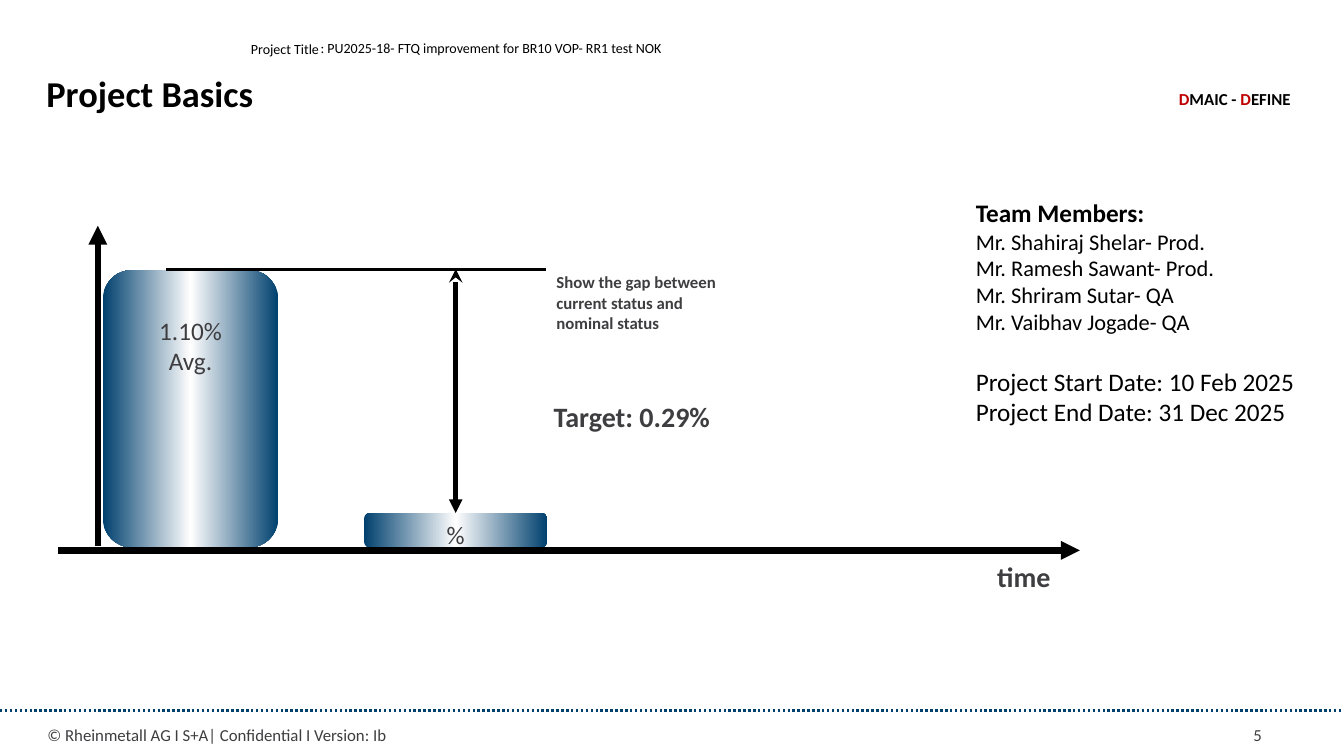
import copy

import pptx
import pptx.chart.data
import pptx.dml.color
import pptx.enum.dml
import pptx.enum.shapes
import pptx.enum.text
import pptx.oxml
import pptx.oxml.ns
import pptx.util

RGBColor = pptx.dml.color.RGBColor
Inches = pptx.util.Inches
ALIGN = pptx.enum.text.PP_ALIGN
ANCHOR = pptx.enum.text.MSO_ANCHOR

BLACK = RGBColor(0x00, 0x00, 0x00)
WHITE = RGBColor(0xFF, 0xFF, 0xFF)
GREY = RGBColor(0x3E, 0x3D, 0x40)
NAVY = RGBColor(0x00, 0x40, 0x6E)
RED = RGBColor(0xC0, 0x00, 0x00)
FONT = "Calibri"

# Content
TITLE = "Project Basics"
PROJECT_LABEL = "Project Title"
PROJECT_NAME = ": PU2025-18- FTQ improvement for BR10 VOP- RR1 test NOK"
PHASE = [("D", RED), ("MAIC - ", BLACK), ("D", RED), ("EFINE", BLACK)]
CURRENT_STATUS = ["1.10%", "Avg."]
NOMINAL_STATUS = ["%"]
GAP_NOTE = ["Show the gap between", "current status and", "nominal status"]
TARGET = "Target: 0.29%"
TIME_AXIS = "time"
TEAM_HEADING = "Team Members:"
TEAM = ["Mr. Shahiraj Shelar- Prod.", "Mr. Ramesh Sawant- Prod.",
        "Mr. Shriram Sutar- QA", "Mr. Vaibhav Jogade- QA"]
DATES = ["Project Start Date: 10 Feb 2025", "Project End Date: 31 Dec 2025"]
FOOTER = "© Rheinmetall AG I S+A| Confidential I Version: Ib"
PAGE = "5"

# Geometry in inches
WIDTH, HEIGHT = 13.33, 7.5
FOOTER_RULE = 0.94 * HEIGHT
AXIS_X, AXIS_Y = 0.97, 5.46
BAR_BASE = AXIS_Y - 0.03
CURRENT_X, CURRENT_W, CURRENT_H = 1.02, 1.74, 2.75
NOMINAL_X, NOMINAL_W, NOMINAL_H = 3.61, 1.82, 0.34
GAP_X = NOMINAL_X + NOMINAL_W / 2
GAP_TOP = 2.67

prs = pptx.Presentation()
prs.slide_width, prs.slide_height = Inches(WIDTH), Inches(HEIGHT)
slide = prs.slides.add_slide(prs.slide_layouts[5])


def format_font(font, size, color, bold=False):
    font.name = FONT
    font.size = pptx.util.Pt(size)
    font.bold = bold
    font.color.rgb = color


def write(frame, lines, size, color, bold=False, align=ALIGN.LEFT,
          inset=True, wrap=True, anchor=ANCHOR.TOP):
    frame.text = "\n".join(lines)
    frame.word_wrap = wrap
    frame.auto_size = pptx.enum.text.MSO_AUTO_SIZE.NONE
    frame.vertical_anchor = anchor
    frame.margin_left = frame.margin_right = Inches(0.1 if inset else 0)
    frame.margin_top = frame.margin_bottom = Inches(0.05 if inset else 0)
    for paragraph in frame.paragraphs:
        paragraph.alignment = align
        for run in paragraph.runs:
            format_font(run.font, size, color, bold)
    return frame


def add_text(box, lines, size, color, **style):
    shape = slide.shapes.add_textbox(*map(Inches, box))
    return write(shape.text_frame, lines, size, color, **style)


def add_line(start, end, color, width, **arrowheads):
    line = slide.shapes.add_connector(
        pptx.enum.shapes.MSO_CONNECTOR.STRAIGHT, *map(Inches, start + end))
    line.line.color.rgb = color
    line.line.width = pptx.util.Pt(width)
    for end_tag, kind in arrowheads.items():
        pptx.oxml.ns  # head must precede tail in the call
        head = pptx.oxml.parse_xml(
            f'<a:{end_tag} {pptx.oxml.ns.nsdecls("a")} type="{kind}"/>')
        line.line._get_or_add_ln().append(head)
    line._element.spPr.append(pptx.oxml.parse_xml(
        f'<a:effectLst {pptx.oxml.ns.nsdecls("a")}/>'))
    return line


def add_bar(left, width, height, lines):
    bar = slide.shapes.add_shape(
        pptx.enum.shapes.MSO_SHAPE.FLOWCHART_ALTERNATE_PROCESS,
        *map(Inches, (left, BAR_BASE - height, width, height)))
    bar.shadow.inherit = False
    bar.line.fill.background()
    bar.fill.gradient()
    bar.fill.gradient_angle = 0
    stop_list = bar._element.spPr.find(".//" + pptx.oxml.ns.qn("a:gsLst"))
    stop_list.append(copy.deepcopy(stop_list[0]))
    shades = [(0, NAVY), (0.5, WHITE), (1, NAVY)]
    for stop, (position, color) in zip(bar.fill.gradient_stops, shades):
        stop.position = position
        stop.color.rgb = color
    write(bar.text_frame, lines, 18, GREY, align=ALIGN.CENTER)
    return bar


# Header
title = slide.shapes.title
title.left, title.top, title.width, title.height = map(
    Inches, (0.36, 0.66, 3.03, 0.54))
write(title.text_frame, [TITLE], 26, BLACK, bold=True)
add_text((2.39, 0.35, 0.95, 0.27), [PROJECT_LABEL], 10, BLACK)
add_text((3.18, 0.39, 3.87, 0.17), [PROJECT_NAME], 10, BLACK, inset=False)
phase = add_text((11.44, 0.83, 1.46, 0.3), [""], 12, BLACK, align=ALIGN.RIGHT)
for letters, color in PHASE:
    run = phase.paragraphs[0].add_run()
    run.text = letters
    format_font(run.font, 12, color, bold=True)

# Status bars between the axes
add_line((0.58, AXIS_Y), (10.71, AXIS_Y), BLACK, 4.5, tailEnd="triangle")
add_text((9.89, 5.55, 0.81, 0.34), [TIME_AXIS], 20, GREY, bold=True, inset=False)
current = add_bar(CURRENT_X, CURRENT_W, CURRENT_H, CURRENT_STATUS)
current.text_frame.margin_top = Inches(0.36)
nominal = add_bar(NOMINAL_X, NOMINAL_W, NOMINAL_H, NOMINAL_STATUS)

# Gap between current and nominal status
add_line((1.65, GAP_TOP), (NOMINAL_X + NOMINAL_W, GAP_TOP), BLACK, 2)
gap = add_line((GAP_X, GAP_TOP), (GAP_X, BAR_BASE - NOMINAL_H), BLACK, 3.25,
               headEnd="stealth", tailEnd="triangle")
gap.end_connect(nominal, 0)
note = slide.shapes.add_shape(pptx.enum.shapes.MSO_SHAPE.RECTANGLE,
                              *map(Inches, (5.42, 2.65, 1.81, 0.71)))
note.shadow.inherit = False
note.fill.background()
note.line.color.rgb = WHITE
note.line.width = pptx.util.Pt(0.75)
write(note.text_frame, GAP_NOTE, 12, GREY, bold=True, wrap=False)
add_line((AXIS_X, 5.42), (AXIS_X, 2.24), BLACK, 4.5, tailEnd="triangle")
add_text((5.49, 3.96, 1.57, 0.34), [TARGET], 20, GREY, bold=True,
         inset=False, wrap=False)

# Team and dates
team = add_text((9.58, 1.91, 3.75, 2.39), [TEAM_HEADING] + TEAM + DATES, 18, BLACK)
heading, *members = team.paragraphs[:1 + len(TEAM)]
heading.runs[0].font.bold = True
for member in members:
    member.runs[0].font.size = pptx.util.Pt(16)
team.paragraphs[1 + len(TEAM)].space_before = pptx.util.Pt(22)

# Footer
rule = add_line((0, FOOTER_RULE), (WIDTH, FOOTER_RULE), NAVY, 1.75)
rule.line.dash_style = pptx.enum.dml.MSO_LINE.ROUND_DOT
add_text((0.47, 7.19, 4.86, 0.18), [FOOTER], 12, GREY, inset=False)
add_text((11.86, 7.16, 1.23, 0.25), [PAGE], 12, GREY, align=ALIGN.CENTER,
         inset=False, anchor=ANCHOR.MIDDLE)

prs.save("out.pptx")
